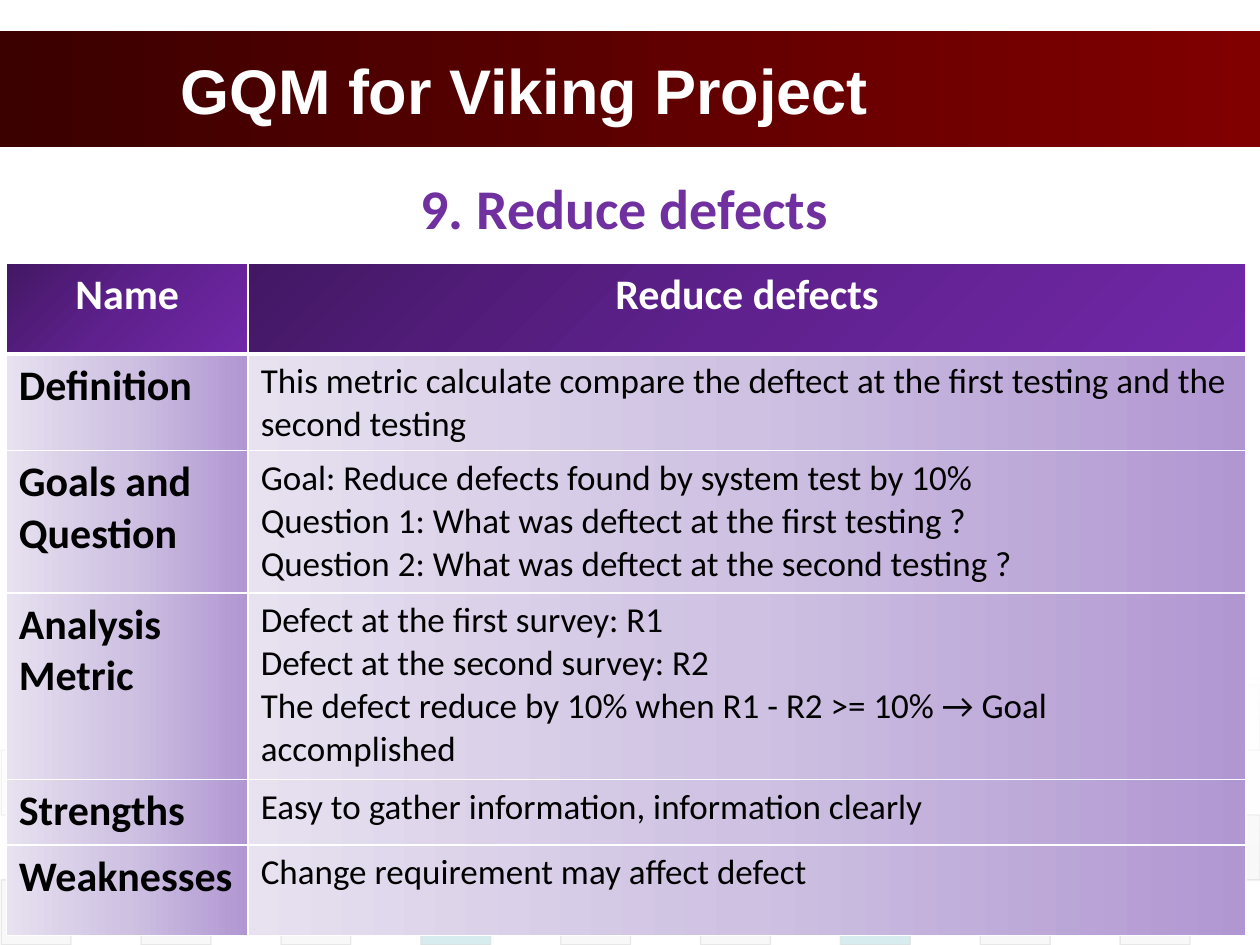
from lxml import etree
from pptx import Presentation, util as u
from pptx.dml.color import RGBColor
from pptx.enum import shapes, text
from pptx.oxml.ns import qn

theme = {
    "title": ("Arial", 36, "FFFFFF"),
    "goal": ("Calibri", 32, "7030A0"),
    "head": ("Calibri", 24, "FFFFFF"),
    "label": ("Calibri", 24, "000000"),
    "note": ("Calibri", 20, "000000"),
    "band": [(0, "3B0000", 100), (100, "800000", 100)],
    "fade": [(0, "FFFFFF", 90), (100, "FFFFFF", 0)],
    "dark": [(0, "431764", 100), (50, "5F218E", 100), (100, "7128A8", 100)],
    "pale": [(0, "B197D2", 100), (50, "CEC1E2", 100), (100, "E7E1F0", 100)],
    "rule": "FFFFFF",
    "edge": "DDDDDD",
    "tile": {"T": "38A3B2", "E": "EAEAEA", "D": "DDDDDD", "O": "D3A911"},
}

deck = Presentation()
deck.slide_width, deck.slide_height = u.Inches(10), u.Inches(7.5)
wide, high = deck.slide_width / 100, deck.slide_height / 100
slide = deck.slides.add_slide(deck.slide_layouts[5])


def blend(fill, prop, stops, angle):
    fill.gradient()
    grad = prop.find(qn("a:gradFill"))
    for part in list(grad):
        grad.remove(part)
    row = etree.SubElement(grad, qn("a:gsLst"))
    for pos, color, alpha in stops:
        stop = etree.SubElement(row, qn("a:gs"), pos=str(pos * 1000))
        tone = etree.SubElement(stop, qn("a:srgbClr"), val=color)
        if alpha < 100:
            etree.SubElement(tone, qn("a:alpha"), val=str(alpha * 1000))
    etree.SubElement(grad, qn("a:lin"), ang=str(angle * 60000), scaled="0")


def write(frame, words, style, bold, align):
    frame.text = words
    font, size, color = theme[style]
    for para in frame.paragraphs:
        para.alignment = align
        for run in para.runs:
            run.font.name, run.font.size, run.font.bold = font, u.Pt(size), bold
            run.font.color.rgb = RGBColor.from_string(color)


left, center = text.PP_ALIGN.LEFT, text.PP_ALIGN.CENTER
rect = shapes.MSO_SHAPE.RECTANGLE

band = slide.shapes.add_shape(rect, 0, int(3.33 * high), int(100 * wide), int(12.27 * high))
band.shadow.inherit = False
band.line.fill.background()
blend(band.fill, band._element.spPr, theme["band"], 0)

tiles = [("TEETDTEOE", 5), ("DDDDODDDT", 10), ("DODDDDODD", 20), ("DDDTDDTDD", 20)]
step, rise = 5.55, 6.87
for row, (codes, alpha) in enumerate(tiles):
    for spot, code in enumerate(codes):
        col = 2 * spot + (row + 1) % 2
        tile = slide.shapes.add_shape(
            rect, int((0.1 + col * step) * wide), int((72.5 + row * rise) * high),
            int(step * wide), int(rise * high))
        tile.shadow.inherit = False
        tile.fill.solid()
        tile.fill.fore_color.rgb = RGBColor.from_string(theme["tile"][code])
        tile.line.color.rgb = RGBColor.from_string(theme["edge"])
        tile.line.width = u.Pt(0.75)
        tones = tile._element.spPr.iter(qn("a:srgbClr"))
        for tone, share in zip(tones, (alpha, 60)):
            etree.SubElement(tone, qn("a:alpha"), val=str(share * 1000))

fade = slide.shapes.add_shape(rect, 0, int(71.6 * high), int(100 * wide), int(21.6 * high))
fade.shadow.inherit = False
fade.line.fill.background()
blend(fade.fill, fade._element.spPr, theme["fade"], 90)

title = slide.shapes.title
slide.shapes._spTree.append(title._element)
title.left, title.top = int(13.3 * wide), int(3.33 * high)
title.width, title.height = int(80.8 * wide), int(12.27 * high)
write(title.text_frame, "GQM for Viking Project", "title", True, left)
title.text_frame.auto_size = text.MSO_AUTO_SIZE.NONE
title.text_frame.vertical_anchor = text.MSO_ANCHOR.MIDDLE

goal = slide.shapes.add_textbox(
    int(15.8 * wide), int(17.73 * high), int(67.5 * wide), int(7.73 * high))
goal.text_frame.word_wrap = True
write(goal.text_frame, "9. Reduce defects", "goal", True, center)
goal.text_frame.paragraphs[0].space_before = u.Pt(3)

rows = [
    (9.6, "Name", "Reduce defects"),
    (9.87, "Definition", "This metric calculate compare the deftect at the first testing "
     "and the second testing"),
    (15.07, "Goals and Question", "Goal: Reduce defects found by system test by 10%\n"
     "Question 1: What was deftect at the first testing ?\n"
     "Question 2: What was deftect at the second testing ?"),
    (19.73, "Analysis Metric", "Defect at the first survey: R1\n"
     "Defect at the second survey: R2\n"
     "The defect reduce by 10% when R1 - R2 >= 10% → Goal accomplished"),
    (6.93, "Strengths", "Easy to gather information, information clearly"),
    (9.6, "Weaknesses", "Change requirement may affect defect"),
]
table = slide.shapes.add_table(
    len(rows), 2, int(0.5 * wide), int(27.87 * high),
    int(98.4 * wide), int(70.8 * high)).table
for col, share in zip(table.columns, (19.2, 79.2)):
    col.width = int(share * wide)

for row, (share, *words) in enumerate(rows):
    table.rows[row].height = int(share * high)
    for col, word in enumerate(words):
        cell = table.cell(row, col)
        head = row == 0
        style = "head" if head else ("label", "note")[col]
        write(cell.text_frame, word, style, head or col == 0, center if head else left)
        prop = cell._tc.get_or_add_tcPr()
        blend(cell.fill, prop, theme["dark" if head else "pale"], 45 if head else 180)
        for spot, side in enumerate(("lnL", "lnR", "lnT", "lnB")):
            thick = (row, side) in ((0, "lnB"), (1, "lnT"))
            line = etree.Element(qn("a:" + side), w=str(u.Pt(3 if thick else 1)))
            ink = etree.SubElement(line, qn("a:solidFill"))
            etree.SubElement(ink, qn("a:srgbClr"), val=theme["rule"])
            prop.insert(spot, line)

deck.save("out.pptx")
